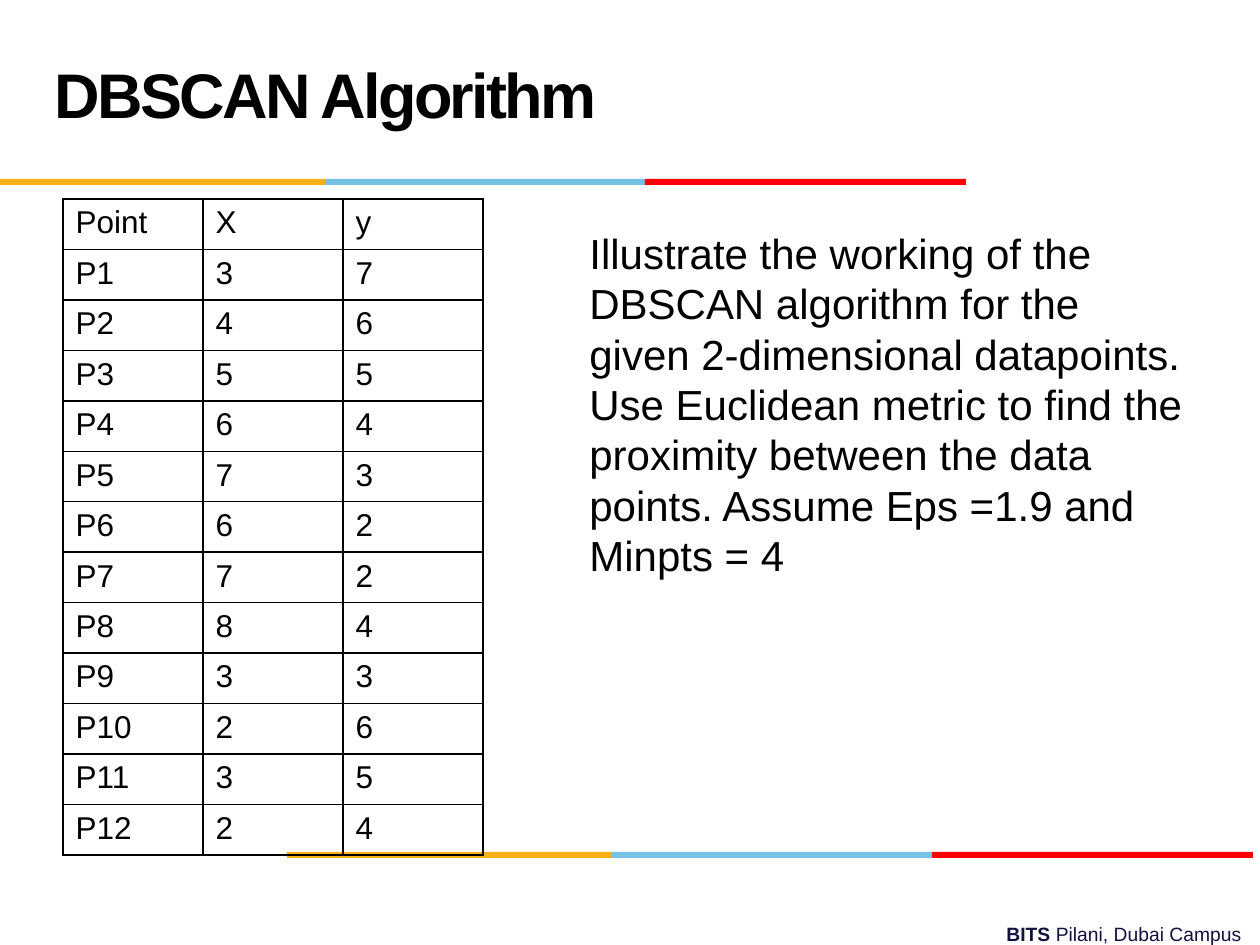
from dataclasses import dataclass

from lxml import etree
from pptx import Presentation, util as u
from pptx.dml.color import RGBColor
from pptx.enum import shapes, text
from pptx.oxml.ns import qn

PX = 914400 / 126


@dataclass(frozen=True)
class Theme:
    font: str = "Arial"
    ink: str = "000000"
    navy: str = "101141"
    bands: tuple = ("FCB017", "76C2E5", "FF0000")
    title: int = 36
    body: int = 24
    cell: int = 18
    footer: int = 11


THEME = Theme()
POINTS = [(3, 7), (4, 6), (5, 5), (6, 4), (7, 3), (6, 2),
          (7, 2), (8, 4), (3, 3), (2, 6), (3, 5), (2, 4)]
QUESTION = ("Illustrate the working of the DBSCAN algorithm for the given "
            "2-dimensional datapoints. Use Euclidean metric to find the proximity "
            "between the data points. Assume Eps =1.9 and Minpts = 4")


def emu(*pixels):
    return [u.Emu(round(value * PX)) for value in pixels]


def set_values(target, values):
    for name, value in values.items():
        setattr(target, name, value)


def add_run(paragraph, words, size, color=THEME.ink, bold=False):
    run = paragraph.add_run()
    run.text = words
    set_values(run.font, {"name": THEME.font, "size": u.Pt(size), "bold": bold})
    run.font.color.rgb = RGBColor.from_string(color)
    return run


def add_text(slide, box, frame_format=None, paragraph_format=None):
    """Add a wrapping text box and return its first paragraph."""
    frame = slide.shapes.add_textbox(*emu(*box)).text_frame
    set_values(frame, {"word_wrap": True, **(frame_format or {})})
    paragraph = frame.paragraphs[0]
    set_values(paragraph, paragraph_format or {})
    return paragraph


def add_stripe(slide, left, top):
    """Add the three-coloured rule, its bands end to end."""
    for color, width in zip(THEME.bands, (325, 320, 321)):
        band = slide.shapes.add_shape(
            shapes.MSO_SHAPE.RECTANGLE, *emu(left, top, width, 6))
        band.shadow.inherit = False
        band.fill.solid()
        band.fill.fore_color.rgb = RGBColor.from_string(color)
        band.line.fill.background()
        left += width


def add_borders(cell):
    properties = cell._tc.get_or_add_tcPr()
    for index, side in enumerate(("lnL", "lnR", "lnT", "lnB")):
        line = etree.Element(qn(f"a:{side}"), w=str(u.Pt(1)))
        fill = etree.SubElement(line, qn("a:solidFill"))
        etree.SubElement(fill, qn("a:srgbClr"), val=THEME.ink)
        properties.insert(index, line)


def add_point_table(slide, box):
    rows = [("Point", "X", "y")]
    rows += [(f"P{number}", *point) for number, point in enumerate(POINTS, 1)]
    table = slide.shapes.add_table(len(rows), len(rows[0]), *emu(*box)).table
    set_values(table, {"first_row": False, "horz_banding": False})
    for row_index, row in enumerate(rows):
        for column_index, value in enumerate(row):
            cell = table.cell(row_index, column_index)
            cell.fill.background()
            add_borders(cell)
            add_run(cell.text_frame.paragraphs[0], str(value), THEME.cell)


def main():
    presentation = Presentation()
    set_values(presentation, {"slide_width": u.Inches(10),
                              "slide_height": u.Inches(7.5)})
    slide = presentation.slides.add_slide(presentation.slide_layouts[6])

    footer = add_text(slide, (445, 916, 809, 37),
                      paragraph_format={"alignment": text.PP_ALIGN.RIGHT})
    add_run(footer, "BITS ", THEME.footer, THEME.navy, bold=True)
    add_run(footer, "Pilani, Dubai Campus", THEME.footer, THEME.navy)
    add_stripe(slide, 287, 852)
    add_stripe(slide, 0, 179)

    add_point_table(slide, (63, 199, 420, 655))

    title = add_text(slide, (42, 21, 872, 158),
                     {"vertical_anchor": text.MSO_ANCHOR.MIDDLE},
                     {"line_spacing": u.Pt(36)})
    heading = add_run(title, "DBSCAN Algorithm", THEME.title, bold=True)
    heading.font._element.set("spc", "-150")

    question = add_text(slide, (577, 221, 620, 369),
                        paragraph_format={"line_spacing": u.Pt(28.8)})
    add_run(question, QUESTION, THEME.body)

    presentation.save("out.pptx")


if __name__ == "__main__":
    main()
